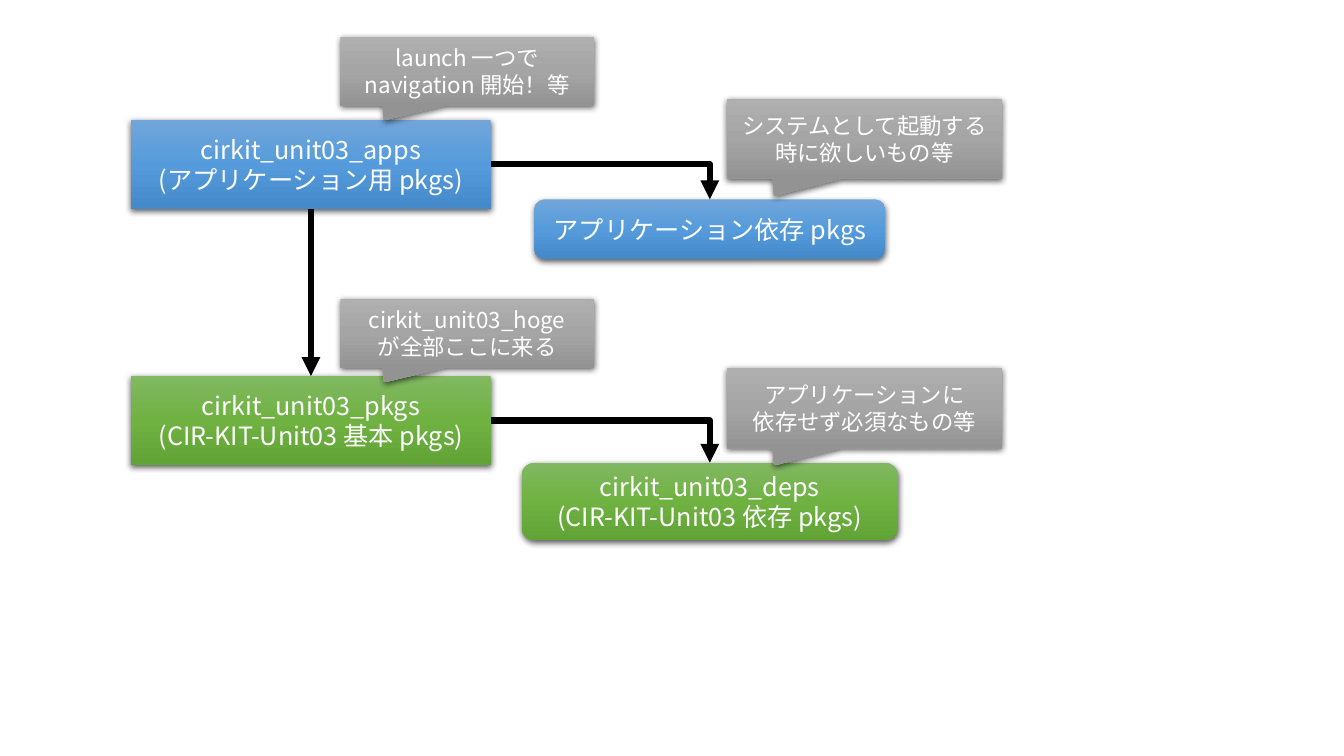
from lxml import etree
from pptx import Presentation
from pptx.dml.color import RGBColor
from pptx.enum.shapes import MSO_CONNECTOR, MSO_SHAPE
from pptx.enum.text import MSO_ANCHOR, PP_ALIGN
from pptx.oxml import parse_xml
from pptx.oxml.ns import nsdecls, qn
from pptx.util import Pt

RECT, ROUND = MSO_SHAPE.RECTANGLE, MSO_SHAPE.ROUNDED_RECTANGLE
CALLOUT = MSO_SHAPE.RECTANGULAR_CALLOUT
STRAIGHT, ELBOW = MSO_CONNECTOR.STRAIGHT, MSO_CONNECTOR.ELBOW
CENTER, MIDDLE = PP_ALIGN.CENTER, MSO_ANCHOR.MIDDLE
TOP, BOTTOM, RIGHT = 0, 2, 3  # connection sites of a rectangle

BLACK = RGBColor(0x00, 0x00, 0x00)
WHITE = RGBColor(0xFF, 0xFF, 0xFF)
BLUE = [RGBColor(0x71, 0xA6, 0xDB), RGBColor(0x55, 0x9B, 0xDB), RGBColor(0x44, 0x8A, 0xCA)]
GREEN = [RGBColor(0x81, 0xB8, 0x61), RGBColor(0x6F, 0xB2, 0x42), RGBColor(0x62, 0xA3, 0x36)]
GRAY = [RGBColor(0xAF, 0xAF, 0xAF), RGBColor(0xA5, 0xA5, 0xA5), RGBColor(0x93, 0x93, 0x93)]
FONT = "Noto Sans CJK JP"

MAIN_X, DEP_X = 222.1, 507  # centres of the two columns of boxes
MAIN_SIZE = (256.9, 63.4)

# name: (shape, colours, centre x, top, (width, height), lines)
PACKAGES = {
    "apps": (RECT, BLUE, MAIN_X, 85.7, MAIN_SIZE,
             ["cirkit_unit03_apps", "(アプリケーション用 pkgs)"]),
    "pkgs": (RECT, GREEN, MAIN_X, 268.6, MAIN_SIZE,
             ["cirkit_unit03_pkgs", "(CIR-KIT-Unit03 基本 pkgs)"]),
    "app_deps": (ROUND, BLUE, DEP_X, 142.4, (250.6, 42.5),
                 ["アプリケーション依存 pkgs"]),
    "deps": (ROUND, GREEN, DEP_X, 330.5, (268.6, 55.4),
             ["cirkit_unit03_deps", "(CIR-KIT-Unit03 依存 pkgs)"]),
}
# from, site, to, connector
ARROWS = [
    ("apps", BOTTOM, "pkgs", STRAIGHT),
    ("apps", RIGHT, "app_deps", ELBOW),
    ("pkgs", RIGHT, "deps", ELBOW),
]
MAIN_NOTE = (333.7, (181, 49))
DEP_NOTE = (617.5, (196.6, 57.2))
# (centre x, (width, height)), top, lines
NOTES = [
    (MAIN_NOTE, 26.3, ["launch 一つで", "navigation 開始！等"]),
    (DEP_NOTE, 70.5, ["システムとして起動する時に欲しいもの等"]),
    (MAIN_NOTE, 213.5, ["cirkit_unit03_hoge", "が全部ここに来る"]),
    (DEP_NOTE, 262.9, ["アプリケーションに", "依存せず必須なもの等"]),
]
NOTE_POINTER = (-0.328, 0.716)

SHADOW = (f'<a:outerShdw {nsdecls("a")} blurRad="{Pt(4.5)}" dist="{Pt(1.5)}" dir="5400000" '
          'algn="ctr" rotWithShape="0"><a:srgbClr val="000000"><a:alpha val="63000"/>'
          '</a:srgbClr></a:outerShdw>')


def set_gradient(sp, colours):
    """Fill from top to bottom with evenly spaced colour stops."""
    sp.fill.gradient()
    sp.fill.gradient_angle = 270
    stops = sp._element.spPr.find(".//" + qn("a:gsLst"))
    for stop in list(stops):
        stops.remove(stop)
    for i, colour in enumerate(colours):
        stop = etree.SubElement(stops, qn("a:gs"), pos=str(100000 * i // (len(colours) - 1)))
        etree.SubElement(stop, qn("a:srgbClr"), val=str(colour))


def add_box(slide, kind, colours, center_x, top, size, lines, font_size):
    width, height = size
    sp = slide.shapes.add_shape(kind, Pt(center_x - width / 2), Pt(top), Pt(width), Pt(height))
    set_gradient(sp, colours)
    sp.line.fill.background()
    sp.shadow.inherit = False
    sp._element.spPr.find(qn("a:effectLst")).append(parse_xml(SHADOW))
    tf = sp.text_frame
    tf.word_wrap, tf.vertical_anchor = True, MIDDLE
    for i, line in enumerate(lines):
        p = tf.paragraphs[0] if i == 0 else tf.add_paragraph()
        p.alignment = CENTER
        r = p.add_run()
        r.text = line
        for name, value in {"name": FONT, "size": Pt(font_size)}.items():
            setattr(r.font, name, value)
        r.font.color.rgb = WHITE
        etree.SubElement(r._r.get_or_add_rPr(), qn("a:ea"), typeface=FONT)
    return sp


def add_arrow(slide, start, site, end, kind):
    arrow = slide.shapes.add_connector(kind, 0, 0, 0, 0)
    arrow.begin_connect(start, site)
    arrow.end_connect(end, TOP)
    arrow.line.color.rgb = BLACK
    arrow.line.width = Pt(4.5)
    etree.SubElement(arrow.line._get_or_add_ln(), qn("a:tailEnd"), type="triangle")
    props = arrow._element.spPr
    if kind == ELBOW:  # a single bend
        props.find(qn("a:prstGeom")).set("prst", "bentConnector2")
    etree.SubElement(props, qn("a:effectLst"))


def main():
    prs = Presentation()
    prs.slide_width, prs.slide_height = Pt(960), Pt(540)
    slide = prs.slides.add_slide(prs.slide_layouts[6])
    boxes = {name: add_box(slide, *package, 18) for name, package in PACKAGES.items()}
    for start, site, end, kind in ARROWS:
        add_arrow(slide, boxes[start], site, boxes[end], kind)
    for (center_x, size), top, lines in NOTES:
        note = add_box(slide, CALLOUT, GRAY, center_x, top, size, lines, 16)
        for i, value in enumerate(NOTE_POINTER):
            note.adjustments[i] = value
    prs.save("out.pptx")


if __name__ == "__main__":
    main()
